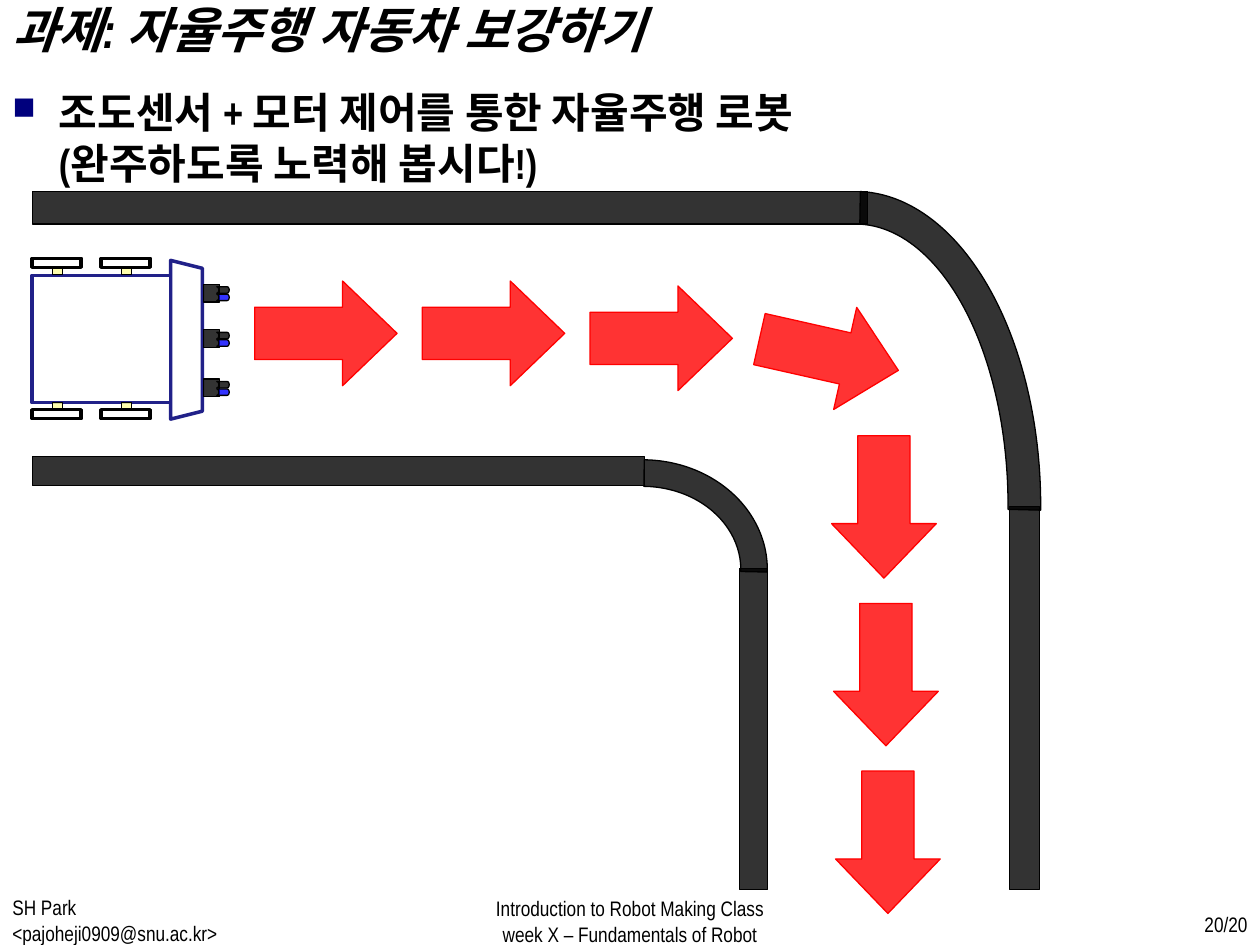
from dataclasses import dataclass

from lxml import etree
from pptx import Presentation
from pptx.dml.color import RGBColor
from pptx.enum.shapes import MSO_SHAPE
from pptx.enum.text import PP_ALIGN
from pptx.oxml.ns import qn
from pptx.util import Cm, Pt

RECTANGLE = MSO_SHAPE.RECTANGLE
TRAPEZOID = MSO_SHAPE.TRAPEZOID
LENS = MSO_SHAPE.FLOWCHART_STORED_DATA
ARC = MSO_SHAPE.BLOCK_ARC
ARROW = MSO_SHAPE.DOWN_ARROW
LEFT, CENTER, RIGHT = PP_ALIGN.LEFT, PP_ALIGN.CENTER, PP_ALIGN.RIGHT


@dataclass(frozen=True)
class Theme:
    black: str = "000000"
    white: str = "FFFFFF"
    navy: str = "212189"
    blue: str = "0000FF"
    red: str = "FF0000"
    cream: str = "FFFF99"
    bullet: str = "00007D"
    latin: str = "Arial Narrow"
    korean: str = "Noto Sans CJK KR"
    title: int = 28
    body: int = 24
    footer: int = 12
    thin: float = 0.75
    thick: float = 2
    opacity: int = 80


THEME = Theme()


def add_part(slide, kind, box, fill, line=THEME.black, weight=THEME.thin,
             opacity=THEME.opacity, rotation=0, adjustments=()):
    """Draw one preset shape; box is left, top, width, height in cm."""
    shape = slide.shapes.add_shape(kind, *(Cm(length) for length in box))
    shape.shadow.inherit = False
    shape.rotation = rotation
    shape.fill.solid()
    shape.fill.fore_color.rgb = RGBColor.from_string(fill)
    if opacity < 100:
        color = shape.fill._xPr.find(qn("a:solidFill"))[0]
        etree.SubElement(color, qn("a:alpha"), val=str(opacity * 1000))
    shape.line.color.rgb = RGBColor.from_string(line)
    shape.line.width = Pt(weight)
    for index, value in enumerate(adjustments):
        shape.adjustments[index] = value
    return shape


def add_text(slide, box, lines, size, align=LEFT, bold=False, italic=False,
             inset=0.13):
    """Place a wrapped text box and return its first paragraph."""
    shape = slide.shapes.add_textbox(*(Cm(length) for length in box))
    frame = shape.text_frame
    frame.word_wrap = True
    frame.margin_top = frame.margin_bottom = Cm(inset)
    frame.text = "\n".join(lines)
    for paragraph in frame.paragraphs:
        paragraph.alignment = align
        font = paragraph.font
        font.size, font.bold, font.italic = Pt(size), bold, italic
        font.color.rgb = RGBColor.from_string(THEME.black)
        font.name = THEME.latin
        etree.SubElement(font._element, qn("a:ea"), typeface=THEME.korean)
    return frame.paragraphs[0]


def add_heading(slide, left, top):
    add_text(slide, (left, top, 25.4, 1.45), ["과제: 자율주행 자동차 보강하기"],
             THEME.title, bold=True, italic=True, inset=0)
    task = add_text(slide, (left, top + 1.75, 20.27, 2.06),
                    ["조도센서 + 모터 제어를 통한 자율주행 로봇 (완주하도록 노력해 봅시다!)"],
                    THEME.body, bold=True, inset=0)
    # Square bullet with a hanging indent
    properties = task._p.get_or_add_pPr()
    properties.set("marL", str(Cm(0.94)))
    properties.set("indent", str(-Cm(0.94)))
    color = etree.Element(qn("a:buClr"))
    etree.SubElement(color, qn("a:srgbClr"), val=THEME.bullet)
    size = etree.Element(qn("a:buSzPct"), val="75000")
    character = etree.Element(qn("a:buChar"), char="■")
    for index, element in enumerate((color, size, character)):
        properties.insert(index, element)


def add_footer(slide, left, top):
    add_text(slide, (left, top, 4.85, 1.14),
             ["SH Park <pajoheji0909@snu.ac.kr>"], THEME.footer)
    add_text(slide, (left, top + 0.02, 25.4, 1.12),
             ["Introduction to Robot Making Class",
              "week X – Fundamentals of Robot"], THEME.footer, CENTER)
    add_text(slide, (left + 23.7, top + 0.33, 1.7, 0.81), ["20/20"],
             THEME.footer, RIGHT)


def add_track(slide, left, top):
    # Straight walls: outer then inner, vertical then horizontal
    for x, y, width, height in ((19.7, 6.35, 0.61, 7.72), (14.26, 7.6, 0.56, 6.48),
                                (0, 0, 16.84, 0.66), (0, 5.35, 12.34, 0.58)):
        add_part(slide, RECTANGLE, (left + x, top + y, width, height), THEME.black)
    # Quarter bends: angles are in units of 100000 / 60000 degrees
    for x, y, width, height, end, thickness in (
            (12.86, 0, 7.47, 12.67, 0.83, 0.088),
            (9.79, 5.41, 5.03, 4.42, 0.73, 0.121)):
        add_part(slide, ARC, (left + x, top + y, width, height), THEME.black,
                 adjustments=(162.54, end, thickness))


def add_car(slide, left, top):
    # Nose and body
    outline = dict(line=THEME.navy, weight=THEME.thick, opacity=100)
    add_part(slide, TRAPEZOID, (left + 1.51, top + 1.32, 3.2, 0.64),
             THEME.white, rotation=90, **outline)
    add_part(slide, RECTANGLE, (left, top + 0.34, 2.79, 2.57), THEME.white, **outline)
    # Light sensors, each with two lenses
    for y in (0.52, 1.44, 2.43):
        add_part(slide, RECTANGLE, (left + 3.45, top + y, 0.33, 0.36), THEME.black)
        for drop, color in ((0.2, THEME.blue), (0.05, THEME.black)):
            add_part(slide, LENS, (left + 3.72, top + y + drop, 0.25, 0.13),
                     color, rotation=180)
    # Wheels on their axles
    for wheel_top, axle_top in ((3.05, 2.91), (0, 0.14)):
        for x in (0, 1.39):
            add_part(slide, RECTANGLE, (left + x + 0.41, top + axle_top, 0.2, 0.18),
                     THEME.cream)
            add_part(slide, RECTANGLE, (left + x, top + wheel_top, 0.99, 0.18),
                     THEME.white, weight=THEME.thick, opacity=100)


def add_route(slide, left, top):
    """Arrows along the track, given by centre and rotation."""
    width, height = 2.11, 2.87
    step = 3.38
    across = [(index * step, y, angle) for index, (y, angle) in
              enumerate(((0, 270), (0, 270), (0.1, 270), (0.43, 282.7)))]
    down = [(11.25 + index * 0.04, 3.5 + index * step, 0) for index in range(3)]
    for x, y, angle in across + down:
        add_part(slide, ARROW,
                 (left + x - width / 2, top + y - height / 2, width, height),
                 THEME.red, line=THEME.red, rotation=angle,
                 adjustments=(0.5, 0.52))


def main():
    presentation = Presentation()
    presentation.slide_width, presentation.slide_height = Cm(25.4), Cm(19.05)
    slide = presentation.slides.add_slide(presentation.slide_layouts[6])
    add_heading(slide, 0, 0)
    add_footer(slide, 0, 17.91)
    add_track(slide, 0.65, 3.86)
    add_car(slide, 0.65, 5.21)
    add_route(slide, 6.57, 6.72)
    presentation.save("out.pptx")


if __name__ == "__main__":
    main()
